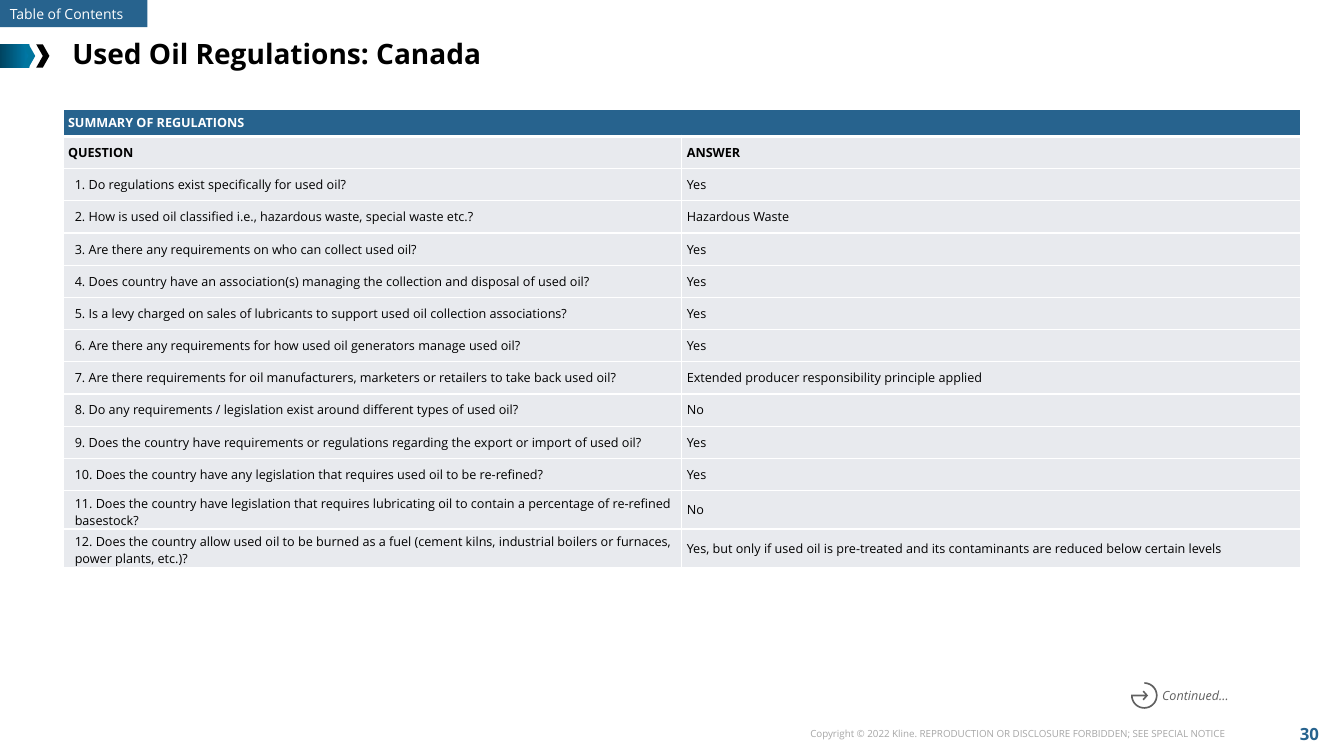
from math import cos, radians, sin

from lxml import etree
from pptx import Presentation
from pptx import util as u
from pptx.dml.color import RGBColor
from pptx.enum import shapes, text
from pptx.oxml.ns import qn

WHITE = RGBColor(0xFF, 0xFF, 0xFF)
BLACK = RGBColor(0, 0, 0)
BLUE = RGBColor(0x27, 0x63, 0x8E)
PALE = RGBColor(0xE8, 0xEA, 0xEE)
SILVER = RGBColor(0xA6, 0xA6, 0xA6)
GRAY = RGBColor(0x60, 0x60, 0x60)
TEAL = RGBColor(0x00, 0x75, 0x9E)
DARK_TEAL = RGBColor(0x00, 0x44, 0x61)
LIGHT_TEAL = RGBColor(0x00, 0x7B, 0xAA)

LEFT = text.PP_ALIGN.LEFT
CENTER = text.PP_ALIGN.CENTER
RIGHT = text.PP_ALIGN.RIGHT
MIDDLE = text.MSO_ANCHOR.MIDDLE

presentation = Presentation()
presentation.slide_width = u.Pt(960)
presentation.slide_height = u.Pt(540)
slide = presentation.slides.add_slide(presentation.slide_layouts[6])


def write(frame, words, size, color, align=LEFT, **styles):
    paragraph = frame.paragraphs[0]
    paragraph.text = words
    paragraph.alignment = align
    font = paragraph.font
    font.color.rgb = color
    formats = {"name": "Open Sans", "size": u.Pt(size), **styles}
    for name, value in formats.items():
        setattr(font, name, value)


def add_block(kind, left, top, width, height, color):
    shape = slide.shapes.add_shape(kind, u.Pt(left), u.Pt(top), u.Pt(width), u.Pt(height))
    shape.shadow.inherit = False
    shape.line.fill.background()
    shape.fill.solid()
    shape.fill.fore_color.rgb = color
    return shape


RECTANGLE = shapes.MSO_SHAPE.RECTANGLE
CHEVRON = shapes.MSO_SHAPE.CHEVRON

title_bar = add_block(RECTANGLE, 0, 31.7, 21, 16.6, DARK_TEAL)
title_bar.fill.gradient()
title_bar.fill.gradient_angle = 0
for stop, color, position in zip(title_bar.fill.gradient_stops, (DARK_TEAL, LIGHT_TEAL), (0, 1)):
    stop.color.rgb = color
    stop.position = position
for left, color in ((15.8, TEAL), (25.9, BLACK)):
    add_block(CHEVRON, left, 31.7, 9.4, 16.6, color)

contents_tab = add_block(RECTANGLE, 0, 0, 105.4, 19.4, BLUE)
contents_tab.text_frame.word_wrap = False
contents_tab.text_frame.vertical_anchor = MIDDLE
write(contents_tab.text_frame, "Table of Contents", 10, WHITE)

labels = [
    ("Used Oil Regulations: Canada", 44.6, 22.3, 864, 31.7, 20, BLACK, LEFT, {"bold": True}),
    ("Copyright © 2022 Kline. REPRODUCTION OR DISCLOSURE FORBIDDEN; SEE SPECIAL NOTICE",
     555.1, 516.2, 326.9, 15.8, 7, SILVER, RIGHT, {}),
    ("30", 913, 509, 44.6, 31, 12, BLUE, CENTER, {"bold": True}),
    ("Continued…", 823, 487.4, 70.6, 19.4, 9, GRAY, LEFT, {"italic": True}),
]
for words, left, top, width, height, size, color, align, styles in labels:
    label = slide.shapes.add_textbox(u.Pt(left), u.Pt(top), u.Pt(width), u.Pt(height))
    label.text_frame.word_wrap = True
    label.text_frame.vertical_anchor = MIDDLE
    write(label.text_frame, words, size, color, align, **styles)

rows = [
    ("SUMMARY OF REGULATIONS", ""),
    ("QUESTION", "ANSWER"),
    ("1. Do regulations exist specifically for used oil?", "Yes"),
    ("2. How is used oil classified i.e., hazardous waste, special waste etc.?", "Hazardous Waste"),
    ("3. Are there any requirements on who can collect used oil?", "Yes"),
    ("4. Does country have an association(s) managing the collection and disposal of used oil?", "Yes"),
    ("5. Is a levy charged on sales of lubricants to support used oil collection associations?", "Yes"),
    ("6. Are there any requirements for how used oil generators manage used oil?", "Yes"),
    ("7. Are there requirements for oil manufacturers, marketers or retailers to take back used oil?",
     "Extended producer responsibility principle applied"),
    ("8. Do any requirements / legislation exist around different types of used oil?", "No"),
    ("9. Does the country have requirements or regulations regarding the export or import of used oil?", "Yes"),
    ("10. Does the country have any legislation that requires used oil to be re-refined?", "Yes"),
    ("11. Does the country have legislation that requires lubricating oil to contain a percentage"
     " of re-refined basestock?", "No"),
    ("12. Does the country allow used oil to be burned as a fuel (cement kilns, industrial boilers"
     " or furnaces, power plants, etc.)?",
     "Yes, but only if used oil is pre-treated and its contaminants are reduced below certain levels"),
]
HEADER_HEIGHT, ROW_HEIGHT, COLUMN_WIDTH = 19.4, 23, 442
table = slide.shapes.add_table(
    len(rows), 2, u.Pt(45), u.Pt(78.1), u.Pt(2 * COLUMN_WIDTH),
    u.Pt(HEADER_HEIGHT + ROW_HEIGHT * (len(rows) - 1))).table
table.first_row = False
table.horz_banding = False
for column in table.columns:
    column.width = u.Pt(COLUMN_WIDTH)

for row_index, answers in enumerate(rows):
    table.rows[row_index].height = u.Pt(ROW_HEIGHT if row_index else HEADER_HEIGHT)
    for column_index, words in enumerate(answers):
        cell = table.cell(row_index, column_index)
        question = row_index > 1 and column_index == 0
        margin = 2.9 if question else 3.6
        formats = {
            "margin_left": u.Pt(8.4 if question else margin),
            "margin_right": u.Pt(margin),
            "margin_top": u.Pt(margin),
            "margin_bottom": u.Pt(margin),
            "vertical_anchor": MIDDLE,
        }
        for name, value in formats.items():
            setattr(cell, name, value)
        properties = cell._tc.get_or_add_tcPr()
        for side in "LRTB":
            thick = (row_index, side) in ((0, "B"), (1, "T"))
            border = etree.SubElement(properties, qn("a:ln" + side), w=str(u.Pt(3 if thick else 1)))
            fill = etree.SubElement(border, qn("a:solidFill"))
            etree.SubElement(fill, qn("a:srgbClr"), val=str(WHITE))
        cell.fill.solid()
        cell.fill.fore_color.rgb = PALE if row_index else BLUE
        write(cell.text_frame, words, 9, BLACK if row_index else WHITE, bold=row_index < 2)
table.cell(0, 0).merge(table.cell(0, 1))

ICON_X, ICON_Y = 817.4, 496.8
arc = [(cos(radians(angle)), sin(radians(angle))) for angle in range(180, -91, -10)]
outline = [(2.7, 0), (-0.4, -3.5), (-1.2, -2.6), (0.8, -0.6), (-9.5, -0.6)]
outline += [(9.5 * x, 9.5 * y) for x, y in arc]
outline += [(8.3 * x, 8.3 * y) for x, y in reversed(arc[1:])]
outline += [(-8.3, 0.6), (0.8, 0.6), (-1.2, 2.6), (-0.4, 3.5)]
points = [(u.Pt(ICON_X + x), u.Pt(ICON_Y + y)) for x, y in outline]
builder = slide.shapes.build_freeform(*points[0])
builder.add_line_segments(points[1:], close=True)
continue_icon = builder.convert_to_shape()
continue_icon.shadow.inherit = False
continue_icon.fill.solid()
continue_icon.fill.fore_color.rgb = GRAY
continue_icon.line.fill.background()

presentation.save("out.pptx")
